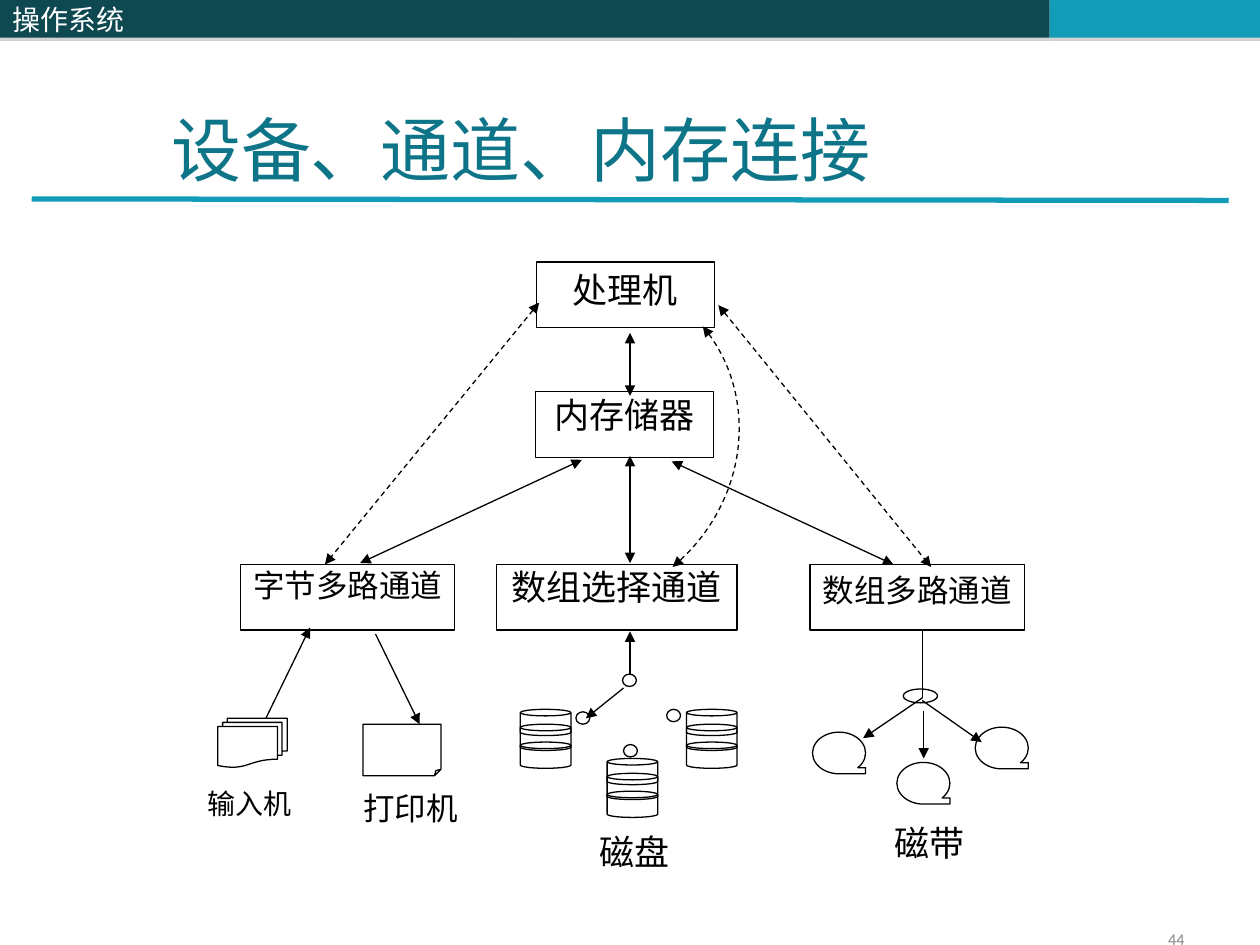
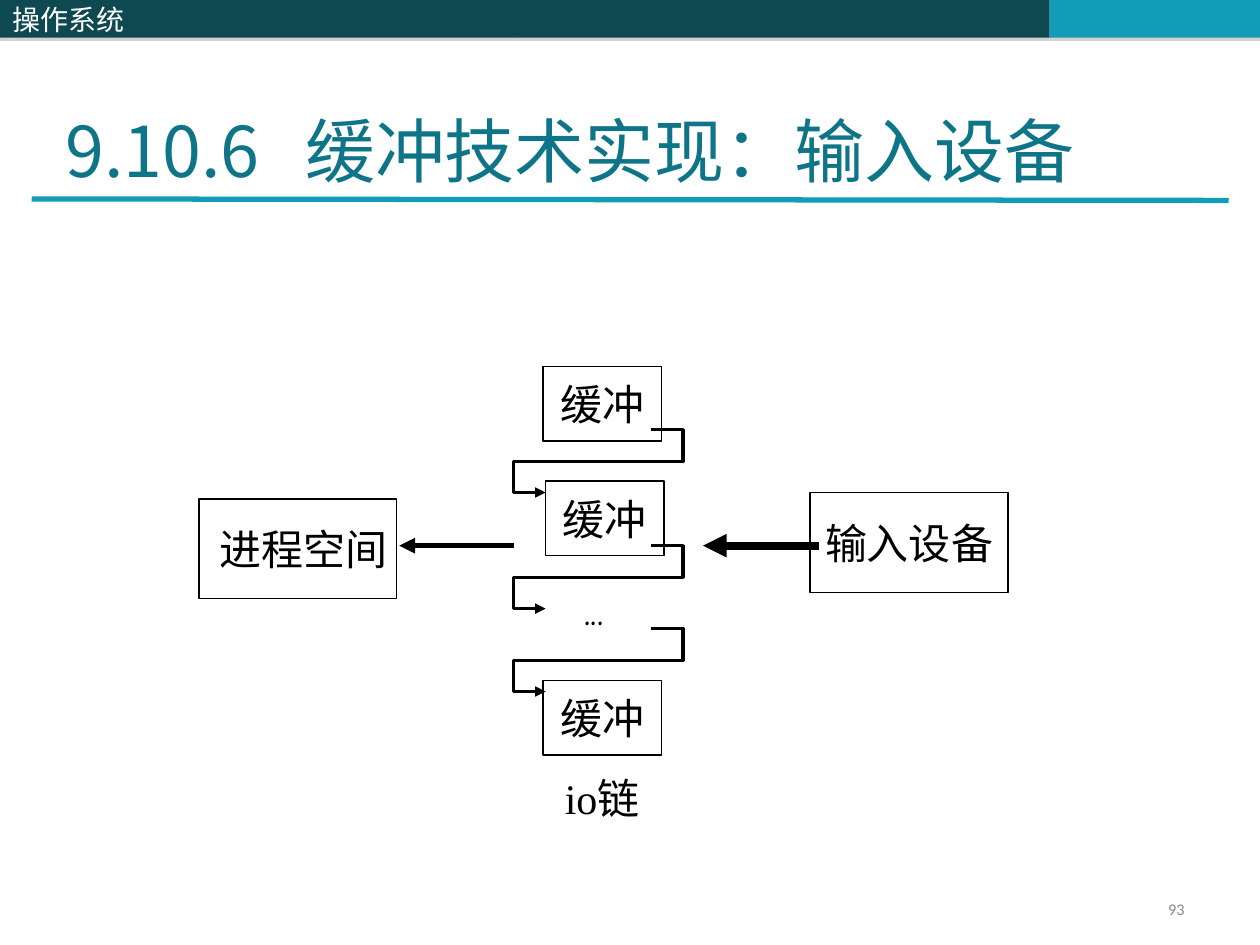
"""Build two operating-system slides: device channel wiring and input buffering."""
from lxml.etree import SubElement
from pptx import Presentation
from pptx.dml.color import RGBColor
from pptx.enum.dml import MSO_LINE
from pptx.enum.shapes import MSO_CONNECTOR, MSO_SHAPE
from pptx.enum.text import MSO_ANCHOR, MSO_AUTO_SIZE, PP_ALIGN
from pptx.oxml.ns import qn
from pptx.util import Cm, Pt

COLORS = {"ink": "000000", "paper": "FFFFFF", "title": "0E7589", "dark": "0E4851",
          "accent": "139CB7", "number": "898989", "shadow": "808080"}
CJK_FONT = "Noto Sans CJK SC"
SERIF_FONT = "Times New Roman"
FRAME = {"word_wrap": True, "auto_size": MSO_AUTO_SIZE.NONE, "vertical_anchor": MSO_ANCHOR.TOP,
         "margin_left": Cm(0.25), "margin_right": Cm(0.25),
         "margin_top": Cm(0.13), "margin_bottom": Cm(0.13)}
BUFFER_FRAME = {"word_wrap": False, "vertical_anchor": MSO_ANCHOR.MIDDLE,
                "margin_left": Cm(0.15), "margin_right": Cm(0.15)}
ONE_WAY = ("a:tailEnd",)
TWO_WAY = ("a:headEnd", "a:tailEnd")


def rgb(name):
    return RGBColor.from_string(COLORS[name])


def inset(side, end):
    return {"margin_left": Cm(side), "margin_right": Cm(side),
            "margin_top": Cm(end), "margin_bottom": Cm(end)}


def write(shape, text, size, font=SERIF_FONT, color="ink", align=PP_ALIGN.CENTER, tab=None, **frame):
    for name, value in {**FRAME, **frame}.items():
        setattr(shape.text_frame, name, value)
    paragraph = shape.text_frame.paragraphs[0]
    paragraph.alignment = align
    if tab:
        stops = SubElement(paragraph._p.get_or_add_pPr(), qn("a:tabLst"))
        SubElement(stops, qn("a:tab"), pos=str(Cm(tab)), algn="l")
    run = paragraph.add_run()
    run.text = text
    for name, value in {"size": Pt(size), "name": font, "bold": False}.items():
        setattr(run.font, name, value)
    run.font.color.rgb = rgb(color)
    SubElement(run._r.get_or_add_rPr(), qn("a:ea"), typeface=CJK_FONT)


def add_outline(shapes, kind, left, top, width, height, fill=None):
    shape = shapes.add_shape(kind, Cm(left), Cm(top), Cm(width), Cm(height))
    shape.shadow.inherit = False
    if fill:
        shape.fill.solid()
        shape.fill.fore_color.rgb = rgb(fill)
    else:
        shape.fill.background()
    shape.line.color.rgb = rgb("ink")
    shape.line.width = Pt(0.75)
    return shape


def add_label(shapes, text, left, top, width, height, size, **style):
    label = shapes.add_textbox(Cm(left), Cm(top), Cm(width), Cm(height))
    write(label, text, size, **style)


def style_stroke(stroke, width, color, ends, dashed):
    stroke.line.color.rgb = rgb(color)
    stroke.line.width = Pt(width)
    if dashed:
        stroke.line.dash_style = MSO_LINE.DASH
    for end in ends:
        SubElement(stroke.element.spPr.find(qn("a:ln")), qn(end), type="triangle")


def add_line(shapes, x1, y1, x2, y2, ends=(), width=0.75, color="ink", dashed=False):
    line = shapes.add_connector(MSO_CONNECTOR.STRAIGHT, Cm(x1), Cm(y1), Cm(x2), Cm(y2))
    style_stroke(line, width, color, ends, dashed)
    SubElement(line.element.spPr, qn("a:effectLst"))
    return line


def add_trace(shapes, points, ends, width=0.75, dashed=False):
    start, *rest = [(Cm(x), Cm(y)) for x, y in points]
    builder = shapes.build_freeform(*start)
    builder.add_line_segments(rest, close=False)
    trace = builder.convert_to_shape()
    trace.shadow.inherit = False
    trace.fill.background()
    style_stroke(trace, width, "ink", ends, dashed)


def bezier(points, steps=32):
    for step in range(steps + 1):
        t = step / steps
        weights = ((1 - t) ** 3, 3 * t * (1 - t) ** 2, 3 * t ** 2 * (1 - t), t ** 3)
        yield tuple(sum(w * value for w, value in zip(weights, axis)) for axis in zip(*points))


def add_band(shapes, left, width, color):
    band = add_outline(shapes, MSO_SHAPE.RECTANGLE, left, 0, width, 0.76, fill=color)
    band.line.fill.background()
    effects = band.element.spPr.find(qn("a:effectLst"))
    shadow = SubElement(effects, qn("a:outerShdw"), dist=str(Pt(1.8)), dir="5400000",
                        algn="t", rotWithShape="0")
    tint = SubElement(shadow, qn("a:srgbClr"), val=COLORS["shadow"])
    SubElement(tint, qn("a:alpha"), val="35000")
    return band


def move_frame_to_layout(slide):
    layout = slide.slide_layout
    for placeholder in list(layout.placeholders):
        if placeholder.placeholder_format.idx >= 10:
            layout.shapes.element.remove(placeholder.element)
    shapes = slide.shapes
    bands = [add_band(shapes, 10.36, 10.8, "dark"), add_band(shapes, 21.16, 4.24, "accent")]
    rule = add_line(shapes, 0.64, 4.01, 24.77, 4.04, width=3, color="accent")
    course = add_band(shapes, 0, 10.36, "dark")
    write(course, "操作系统", 16, font=CJK_FONT, color="paper", align=PP_ALIGN.LEFT,
          vertical_anchor=MSO_ANCHOR.MIDDLE)
    for part in (*bands, rule, course):
        layout.shapes.element.append(part.element)


def add_title(slide, text, left, top, width, height, tab=None):
    title = slide.shapes.title
    for name, value in {"left": left, "top": top, "width": width, "height": height}.items():
        setattr(title, name, Cm(value))
    write(title, text, 40, font=CJK_FONT, color="title", align=PP_ALIGN.LEFT, tab=tab,
          vertical_anchor=MSO_ANCHOR.BOTTOM, margin_bottom=0)


def add_number(slide, number, top):
    add_label(slide.shapes, number, 18.21, top, 5.92, 0.69, 9.3, font="Calibri",
              color="number", align=PP_ALIGN.RIGHT, vertical_anchor=MSO_ANCHOR.MIDDLE)


def add_disk(shapes, left, top):
    disk = shapes.add_group_shape().shapes
    for drop in (0, 0.3, 0.66):
        add_outline(disk, MSO_SHAPE.CAN, left, top + drop, 1.02, 0.53)


def add_units(shapes):
    for text, left, top, width, size, margins in (
            ("数组选择通道", 10.01, 11.38, 4.85, 20, (0.25, 0.03)),
            ("字节多路通道", 4.85, 11.38, 4.32, 18, (0.15, 0.03)),
            ("数组多路通道", 16.33, 11.38, 4.32, 18, (0.05, 0.13)),
            ("内存储器", 10.8, 7.9, 3.58, 20, (0.25, 0.03)),
            ("处理机", 10.82, 5.28, 3.58, 20, (0.25, 0.13))):
        unit = add_outline(shapes, MSO_SHAPE.RECTANGLE, left, top, width, 1.32)
        write(unit, text, size, **inset(*margins))


def add_devices(shapes):
    for left, top in ((10.49, 14.3), (12.24, 15.29), (13.84, 14.3)):
        add_disk(shapes, left, top)
    for left, top in ((12.55, 13.59), (13.44, 14.3), (12.57, 15.01), (11.61, 14.35)):
        add_outline(shapes, MSO_SHAPE.OVAL, left, top, 0.28, 0.25)
    add_outline(shapes, MSO_SHAPE.FLOWCHART_MULTIDOCUMENT, 4.39, 14.48, 1.4, 0.99)
    printer = add_outline(shapes, MSO_SHAPE.FOLDED_CORNER, 7.32, 14.6, 1.57, 1.04)
    fold = printer.element.spPr.find(".//" + qn("a:avLst"))
    SubElement(fold, qn("a:gd"), name="adj", fmla="val 12500")
    for left, top in ((16.38, 14.76), (19.66, 14.66), (18.08, 15.37)):
        add_outline(shapes, MSO_SHAPE.FLOWCHART_SEQUENTIAL_ACCESS_STORAGE, left, top, 1.07, 0.84)
    add_outline(shapes, MSO_SHAPE.OVAL, 18.21, 13.89, 0.69, 0.28)
    for text, left, top, width, height, size in (
            ("磁盘", 11.81, 16.71, 1.96, 0.99, 20), ("打印机", 7.24, 15.88, 2.08, 1.12, 18),
            ("输入机", 4.01, 15.82, 2.03, 1.12, 16), ("磁带", 17.7, 16.54, 2.08, 1.17, 20)):
        add_label(shapes, text, left, top, width, height, size, **inset(0.05, 0.03))


def add_wiring(shapes):
    device_arrows = ((12.7, 13.59, 12.7, 12.73), (12.57, 13.87, 11.81, 14.48),
                     (7.57, 12.78, 8.46, 14.6), (5.36, 14.48, 6.25, 12.65),
                     (18.59, 14.07, 17.4, 14.88), (18.59, 14.12, 19.79, 14.96),
                     (18.62, 14.33, 18.62, 15.29))
    memory_arrows = ((11.73, 9.27, 7.26, 11.35), (12.7, 9.19, 12.7, 11.35),
                     (13.54, 9.3, 18.01, 11.38), (12.7, 6.71, 12.7, 7.98))
    control_arrows = ((10.87, 6.1, 6.55, 11.38), (14.48, 6.15, 18.77, 11.43))
    for arrows, ends, dashed in ((device_arrows, ONE_WAY, False), (memory_arrows, TWO_WAY, False),
                                 (control_arrows, TWO_WAY, True)):
        for arrow in arrows:
            add_line(shapes, *arrow, ends=ends, dashed=dashed)
    add_line(shapes, 18.59, 12.73, 18.59, 14.07)
    control_curve = ((14.17, 6.58), (15.34, 7.98), (15.09, 10.16), (13.56, 11.43))
    add_trace(shapes, bezier(control_curve), TWO_WAY, dashed=True)


def add_buffer_chain(shapes):
    for text, left, top, width, height, margin in (
            ("进程空间", 4.01, 10.06, 3.99, 2.01, 0.36), ("输入设备", 16.33, 9.93, 3.99, 2.01, 0.15),
            ("缓冲", 10.95, 7.39, 2.39, 1.5, 0.15), ("缓冲", 11, 9.7, 2.39, 1.5, 0.15),
            ("缓冲", 10.95, 13.72, 2.39, 1.5, 0.15)):
        block = add_outline(shapes, MSO_SHAPE.RECTANGLE, left, top, width, height, fill="paper")
        write(block, text, 24, **{**BUFFER_FRAME, "margin_left": Cm(margin)})
    add_line(shapes, 10.36, 11, 8.05, 11, ends=ONE_WAY, width=3)
    add_line(shapes, 16.51, 11, 14.17, 11, ends=ONE_WAY, width=4.5)
    for top in (8.66, 11, 12.67):
        middle, bottom = top + 0.64, top + 1.27
        link = ((13.13, top), (13.77, top), (13.77, middle),
                (10.36, middle), (10.36, bottom), (11, bottom))
        add_trace(shapes, link, ONE_WAY, width=1.75)
    add_label(shapes, "...", 11.63, 11.63, 1.47, 1.27, 24, font="Comic Neue",
              align=PP_ALIGN.LEFT, **inset(0.15, 0.13))


def main():
    deck = Presentation()
    deck.slide_width, deck.slide_height = Cm(25.4), Cm(19.05)
    title_only = deck.slide_layouts[5]

    channels = deck.slides.add_slide(title_only)
    move_frame_to_layout(channels)
    add_title(channels, "设备、通道、内存连接", 3.2, 0.64, 21.64, 3.2)
    add_number(channels, "44", 18.59)
    add_units(channels.shapes)
    add_devices(channels.shapes)
    add_wiring(channels.shapes)

    buffering = deck.slides.add_slide(title_only)
    add_title(buffering, "9.10.6\t缓冲技术实现：输入设备", 1.07, 1.91, 23.5, 1.96, tab=4.83)
    add_number(buffering, "93", 17.98)
    add_buffer_chain(buffering.shapes.add_group_shape().shapes)
    add_label(buffering.shapes, "io链", 10.87, 15.44, 2.54, 1.27, 24)

    deck.save("out.pptx")


if __name__ == "__main__":
    main()
